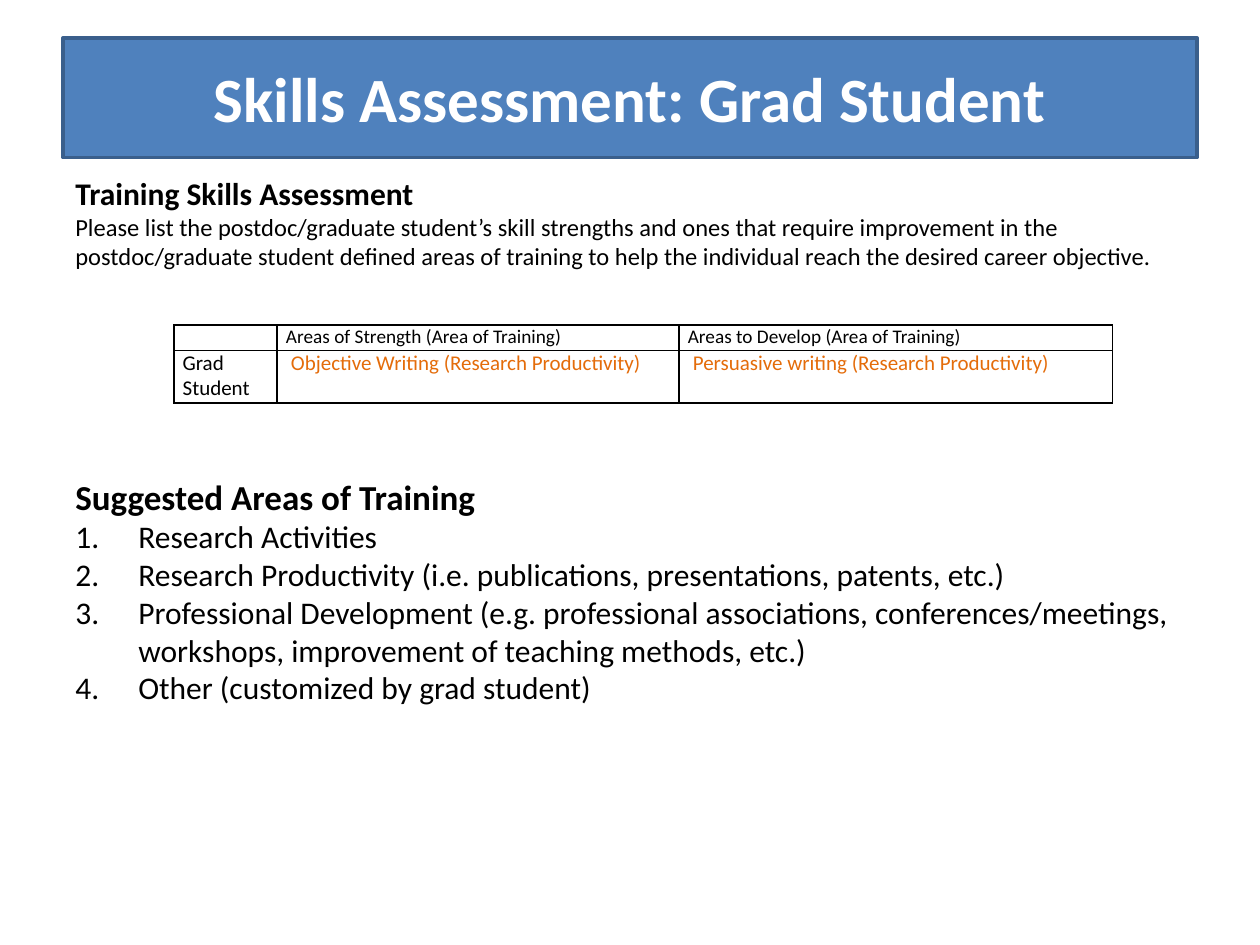
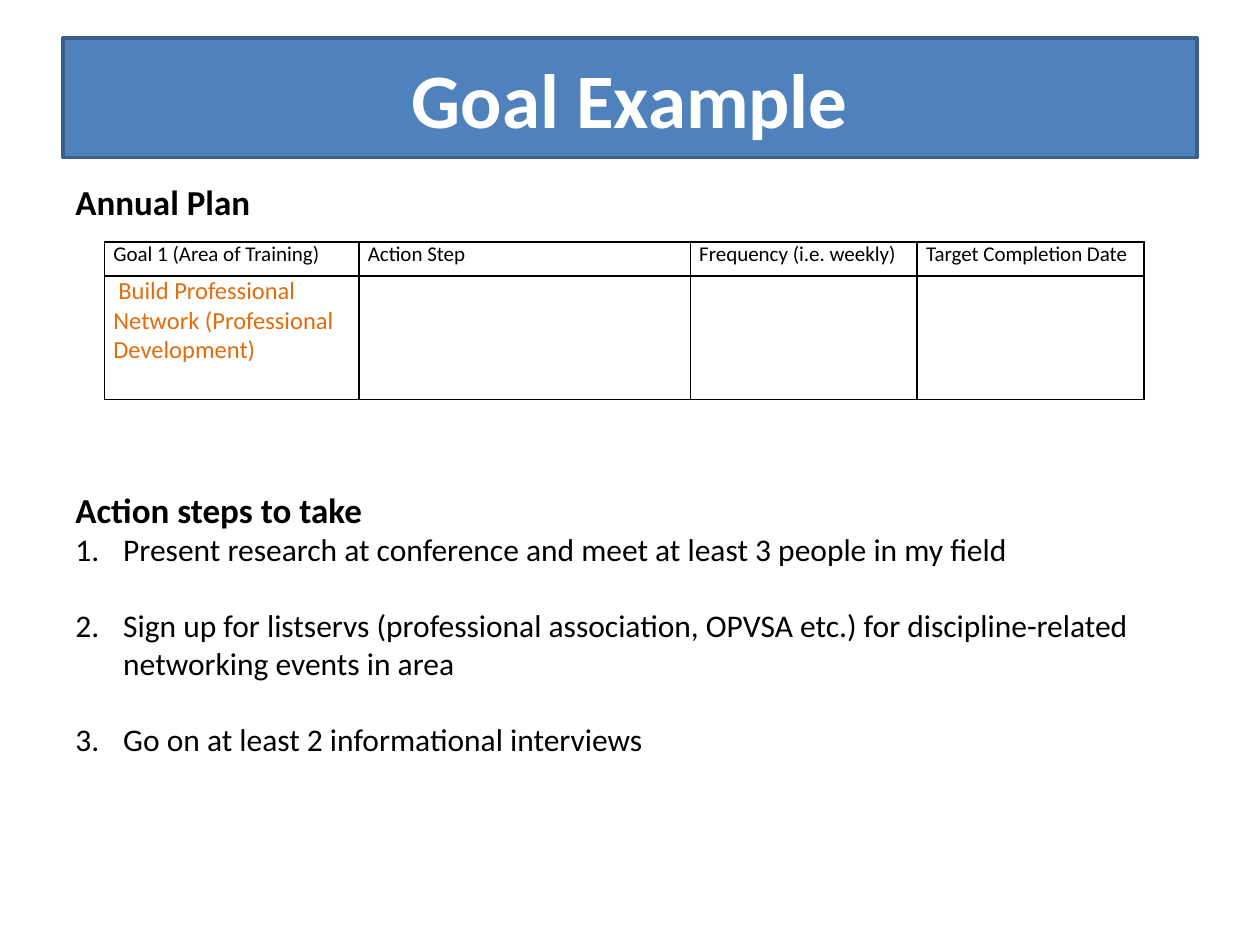
from lxml import etree
from pptx import Presentation
from pptx.dml.color import RGBColor
from pptx.enum.text import MSO_ANCHOR, MSO_AUTO_SIZE, PP_ALIGN
from pptx.oxml.ns import qn
from pptx.util import Inches, Pt

FONT = "Calibri"
COLORS = {"band": "4F81BD", "edge": "3A5F8C", "light": "FFFFFF",
          "text": "000000", "example": "E46C0A"}
TITLE_BOX = (0.5, 0.3, 9, 0.95)


def color(name):
    """Return the palette colour of this name."""
    return RGBColor.from_string(COLORS[name])


def inches(values):
    """Convert a sequence of numbers to lengths."""
    return [Inches(value) for value in values]


def write(paragraph, text, size, ink="text", bold=False):
    """Add one formatted run to a paragraph."""
    run = paragraph.add_run()
    run.text = text
    for name, value in {"name": FONT, "size": Pt(size), "bold": bold}.items():
        setattr(run.font, name, value)
    run.font.color.rgb = color(ink)


def indent(paragraph, left, first):
    """Set the left margin and first-line indent in inches."""
    properties = paragraph._p.get_or_add_pPr()
    properties.set("marL", str(Inches(left)))
    properties.set("indent", str(Inches(first)))
    return properties


def add_title(slide, text, size):
    """Turn the title placeholder into the blue title band."""
    title = slide.shapes.title
    title.left, title.top, title.width, title.height = inches(TITLE_BOX)
    title.fill.solid()
    title.fill.fore_color.rgb = color("band")
    title.line.color.rgb = color("edge")
    title.line.width = Pt(2)
    title.shadow.inherit = False
    frame = title.text_frame
    frame.auto_size = MSO_AUTO_SIZE.NONE
    frame.vertical_anchor = MSO_ANCHOR.MIDDLE
    paragraph = frame.paragraphs[0]
    paragraph.alignment = PP_ALIGN.CENTER
    write(paragraph, text, size, "light", True)


def add_body(slide, box, paragraphs):
    """Add a text box; each paragraph is text, size and a dict of options."""
    frame = slide.shapes.add_textbox(*inches(box)).text_frame
    frame.word_wrap = True
    frame.auto_size = MSO_AUTO_SIZE.SHAPE_TO_FIT_TEXT
    for index, (text, size, options) in enumerate(paragraphs):
        paragraph = frame.add_paragraph() if index else frame.paragraphs[0]
        paragraph.space_before = Pt(options.get("before", 0))
        write(paragraph, text, size, bold=options.get("bold", False))
        if "hanging" in options:
            hanging = options["hanging"]
            properties = indent(paragraph, hanging, -hanging)
            etree.SubElement(properties, qn("a:buFont"), typeface="+mj-lt")
            etree.SubElement(properties, qn("a:buAutoNum"), type="arabicPeriod")


def numbered(items, hanging, gap=0):
    """Return list paragraphs with a gap between the items."""
    return [(item, 18, {"hanging": hanging, "before": gap if index else 0})
            for index, item in enumerate(items)]


def add_borders(cell):
    """Draw a thin black line on all sides of a cell."""
    properties = cell._tc.get_or_add_tcPr()
    for position, side in enumerate(("lnL", "lnR", "lnT", "lnB")):
        line = etree.Element(qn(f"a:{side}"), w=str(Pt(1)))
        fill = etree.SubElement(line, qn("a:solidFill"))
        etree.SubElement(fill, qn("a:srgbClr"), val=COLORS["text"])
        properties.insert(position, line)


def add_grid(slide, origin, columns, heights, rows):
    """Add a ruled table; each cell is text, size and ink."""
    size = (sum(columns), sum(heights))
    table = slide.shapes.add_table(len(rows), len(columns), *inches(origin + size)).table
    table.first_row = table.horz_banding = False
    for column, width in zip(table.columns, inches(columns)):
        column.width = width
    for row, height, entries in zip(table.rows, inches(heights), rows):
        row.height = height
        for cell, (text, points, ink) in zip(row.cells, entries):
            cell.margin_left = cell.margin_right = Inches(0.07)
            cell.margin_top = cell.margin_bottom = 0
            cell.fill.background()
            add_borders(cell)
            paragraph = cell.text_frame.paragraphs[0]
            if text:
                write(paragraph, text, points, ink)
                if ink == "example":
                    indent(paragraph, 0, 0.04)
            else:
                paragraph._p.get_or_add_endParaRPr().set("sz", str(points * 100))


def build_skills(slide):
    """Build the skills assessment slide."""
    add_title(slide, "Skills Assessment: Grad Student", 36)
    add_body(slide, (0.5, 1.33, 9, 4.75), [
        ("Training Skills Assessment", 18, {"bold": True}),
        ("Please list the postdoc/graduate student’s skill strengths and ones that "
         "require improvement in the postdoc/graduate student defined areas of "
         "training to help the individual reach the desired career objective.", 14, {}),
        ("Suggested Areas of Training", 20, {"bold": True, "before": 117}),
        *numbered([
            "Research Activities",
            "Research Productivity (i.e. publications, presentations, patents, etc.)",
            "Professional Development (e.g. professional associations, "
            "conferences/meetings, workshops, improvement of teaching methods, etc.)",
            "Other (customized by grad student)"], 0.5)])
    add_grid(slide, (1.38, 2.58), (0.82, 3.19, 3.44), (0.2, 0.42), [
        [("", 12, "text"),
         ("Areas of Strength (Area of Training)", 11, "text"),
         ("Areas to Develop (Area of Training)", 11, "text")],
        [("Grad Student", 12, "text"),
         ("Objective Writing (Research Productivity)", 12, "example"),
         ("Persuasive writing (Research Productivity)", 12, "example")]])


def build_goal(slide):
    """Build the goal example slide."""
    add_title(slide, "Goal Example", 44)
    add_body(slide, (0.5, 1.38, 9, 4.95), [
        ("Annual Plan", 20, {"bold": True}),
        ("Action steps to take", 20, {"bold": True, "before": 152}),
        *numbered([
            "Present research at conference and meet at least 3 people in my field",
            "Sign up for listservs (professional association, OPVSA etc.) for "
            "discipline-related networking events in area",
            "Go on at least 2 informational interviews"], 0.38, 22)])
    headings = ("Goal 1 (Area of Training)", "Action Step",
                "Frequency (i.e. weekly)", "Target Completion Date")
    goal = ("Build Professional Network (Professional Development)", 14, "example")
    add_grid(slide, (0.83, 1.92), (2.02, 2.63, 1.8, 1.8), (0.27, 0.98), [
        [(heading, 12, "text") for heading in headings],
        [goal] + [("", 14, "text")] * 3])


def main():
    """Build and save the presentation."""
    presentation = Presentation()
    presentation.slide_width, presentation.slide_height = inches((10, 7.5))
    for build in (build_skills, build_goal):
        build(presentation.slides.add_slide(presentation.slide_layouts[5]))
    presentation.save("out.pptx")


if __name__ == "__main__":
    main()
